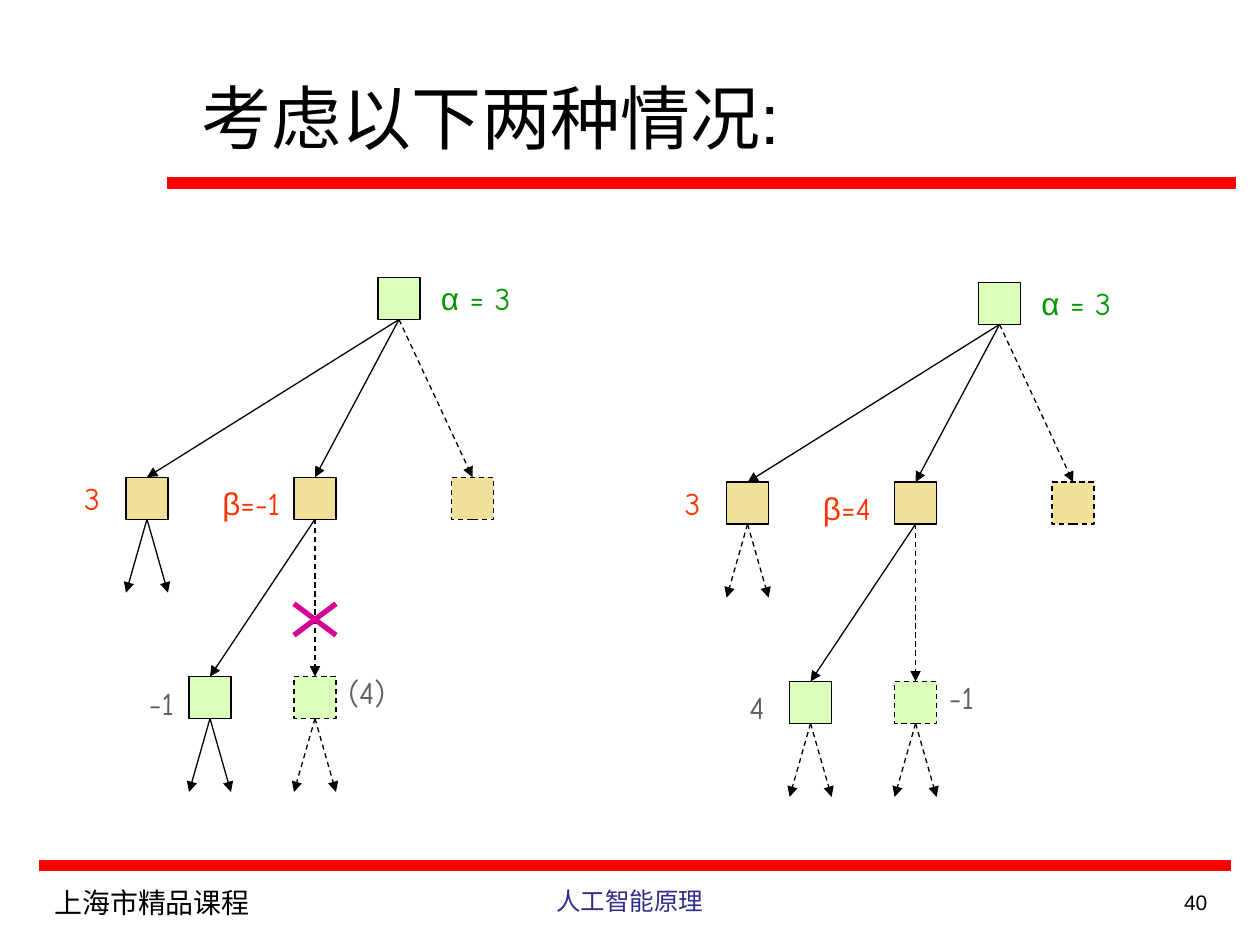
import pptx
import pptx.dml.color
import pptx.enum.dml
import pptx.enum.shapes
import pptx.enum.text
import pptx.oxml.ns
import pptx.util
import lxml.etree

Pt = pptx.util.Pt
qn = pptx.oxml.ns.qn
DASH = pptx.enum.dml.MSO_LINE.DASH
RECTANGLE = pptx.enum.shapes.MSO_SHAPE.RECTANGLE
STRAIGHT = pptx.enum.shapes.MSO_CONNECTOR.STRAIGHT
LEFT, CENTER, RIGHT = (pptx.enum.text.PP_ALIGN.LEFT, pptx.enum.text.PP_ALIGN.CENTER,
                       pptx.enum.text.PP_ALIGN.RIGHT)
TOP, MIDDLE = pptx.enum.text.MSO_ANCHOR.TOP, pptx.enum.text.MSO_ANCHOR.MIDDLE


def rgb(color):
    return pptx.dml.color.RGBColor.from_string(color)


def add_line(shapes, start, end, color="000000", width=0.75, dashed=False, arrow=True):
    line = shapes.add_connector(STRAIGHT, Pt(start[0]), Pt(start[1]), Pt(end[0]), Pt(end[1]))
    line.line.color.rgb = rgb(color)
    line.line.width = Pt(width)
    if dashed:
        line.line.dash_style = DASH
    if arrow:
        lxml.etree.SubElement(line.line._get_or_add_ln(), qn("a:tailEnd"), type="triangle")
    lxml.etree.SubElement(line._element.spPr, qn("a:effectLst"))


prs = pptx.Presentation()
prs.slide_width, prs.slide_height = Pt(720), Pt(540)
slide = prs.slides.add_slide(prs.slide_layouts[6])

for left, top, width, height in [(22.5, 491.8, 680.5, 5.6), (95.8, 101.4, 610, 6)]:
    rule = slide.shapes.add_shape(RECTANGLE, Pt(left), Pt(top), Pt(width), Pt(height))
    rule.shadow.inherit = False
    rule.fill.solid()
    rule.fill.fore_color.rgb = rgb("FF0000")
    rule.line.color.rgb = rgb("FF0000")
    rule.line.width = Pt(0.75)

GREEN, TAN = "DCFFB9", "F0E09A"
SCORE, ALPHA, LEAF = "FF3300", "009900", "5F5F5F"
NODE = 24
nodes = {
    "root": (216, 158.6, GREEN, False),
    "first": (72, 272.7, TAN, False),
    "second": (168, 272.7, TAN, False),
    "third": (258, 272.7, TAN, True),
    "seen": (108, 386.6, GREEN, False),
    "unseen": (168, 386.6, GREEN, True),
}
edges = [("root", "first"), ("root", "second"), ("root", "third"),
         ("second", "seen"), ("second", "unseen")]

trees = [
    (0, 0, {"first": False, "seen": False, "unseen": True}, True, [
        (41, 270, 25, "", "3", SCORE), (244.8, 156, 57, "α", " = 3", ALPHA),
        (78, 387.4, 30, "", "-1", LEAF), (120, 273, 49, "β", "=-1", SCORE),
        (192, 381, 39, "", "(4)", LEAF)]),
    (343.2, 2.8, {"first": True, "seen": True, "unseen": True}, False, [
        (41, 270, 25, "", "3", SCORE), (244.8, 156, 57, "α", " = 3", ALPHA),
        (78, 387, 25, "", "4", LEAF), (120, 273, 45, "β", "=4", SCORE),
        (192, 381, 30, "", "-1", LEAF)]),
]

for dx, dy, stubs, pruned, labels in trees:
    tree = slide.shapes.add_group_shape().shapes
    tops, bottoms = {}, {}
    for name, (left, top, fill, dashed) in nodes.items():
        x, y = left + dx, top + dy
        tops[name], bottoms[name] = (x + NODE / 2, y), (x + NODE / 2, y + NODE)
        node = tree.add_shape(RECTANGLE, Pt(x), Pt(y), Pt(NODE), Pt(NODE))
        node.shadow.inherit = False
        node.fill.solid()
        node.fill.fore_color.rgb = rgb(fill)
        node.line.color.rgb = rgb("000000")
        node.line.width = Pt(0.75)
        if dashed:
            node.line.dash_style = DASH

    for parent, child in edges:
        add_line(tree, bottoms[parent], tops[child], dashed=nodes[child][3])
    for name, dashed in stubs.items():
        x, y = bottoms[name]
        for side in (-12, 12):
            add_line(tree, (x, y), (x + side, y + 42), dashed=dashed)

    for left, top, width, greek, value, color in labels:
        label = tree.add_textbox(Pt(left + dx), Pt(top + dy), Pt(width), Pt(28.8))
        label.text_frame.word_wrap = False
        label.text_frame.auto_size = pptx.enum.text.MSO_AUTO_SIZE.SHAPE_TO_FIT_TEXT
        for text, font in [(greek, "Arial"), (value, "Comic Neue")]:
            if text:
                run = label.text_frame.paragraphs[0].add_run()
                run.text = text
                run.font.name = font
                run.font.size = Pt(18)
                run.font.color.rgb = rgb(color)

    if pruned:
        for start, end in [((168, 345), (192, 363)), ((192, 345), (168, 363))]:
            add_line(tree, start, end, "D60093", 3, arrow=False)

CJK = "Noto Sans CJK SC"
texts = [
    (108, 21.6, 576, 90, "考虑以下两种情况:", "Arial", 40, "000000", LEFT, MIDDLE),
    (617.8, 504.7, 79.2, 17.3, "40", "Arial", 12, "000000", RIGHT, TOP),
    (24, 502.6, 192, 37.4, "上海市精品课程", CJK, 16, "000000", LEFT, TOP),
    (246, 502.6, 228, 37.4, "人工智能原理", CJK, 14, "2D2D8A", CENTER, TOP),
]
for left, top, width, height, text, font, size, color, align, anchor in texts:
    caption = slide.shapes.add_textbox(Pt(left), Pt(top), Pt(width), Pt(height))
    caption.text_frame.word_wrap = True
    caption.text_frame.vertical_anchor = anchor
    paragraph = caption.text_frame.paragraphs[0]
    paragraph.text = text
    paragraph.alignment = align
    run = paragraph.runs[0]
    run.font.name = font
    run.font.size = Pt(size)
    run.font.color.rgb = rgb(color)
    lxml.etree.SubElement(run.font._element, qn("a:ea"), typeface=CJK)

prs.save("out.pptx")
